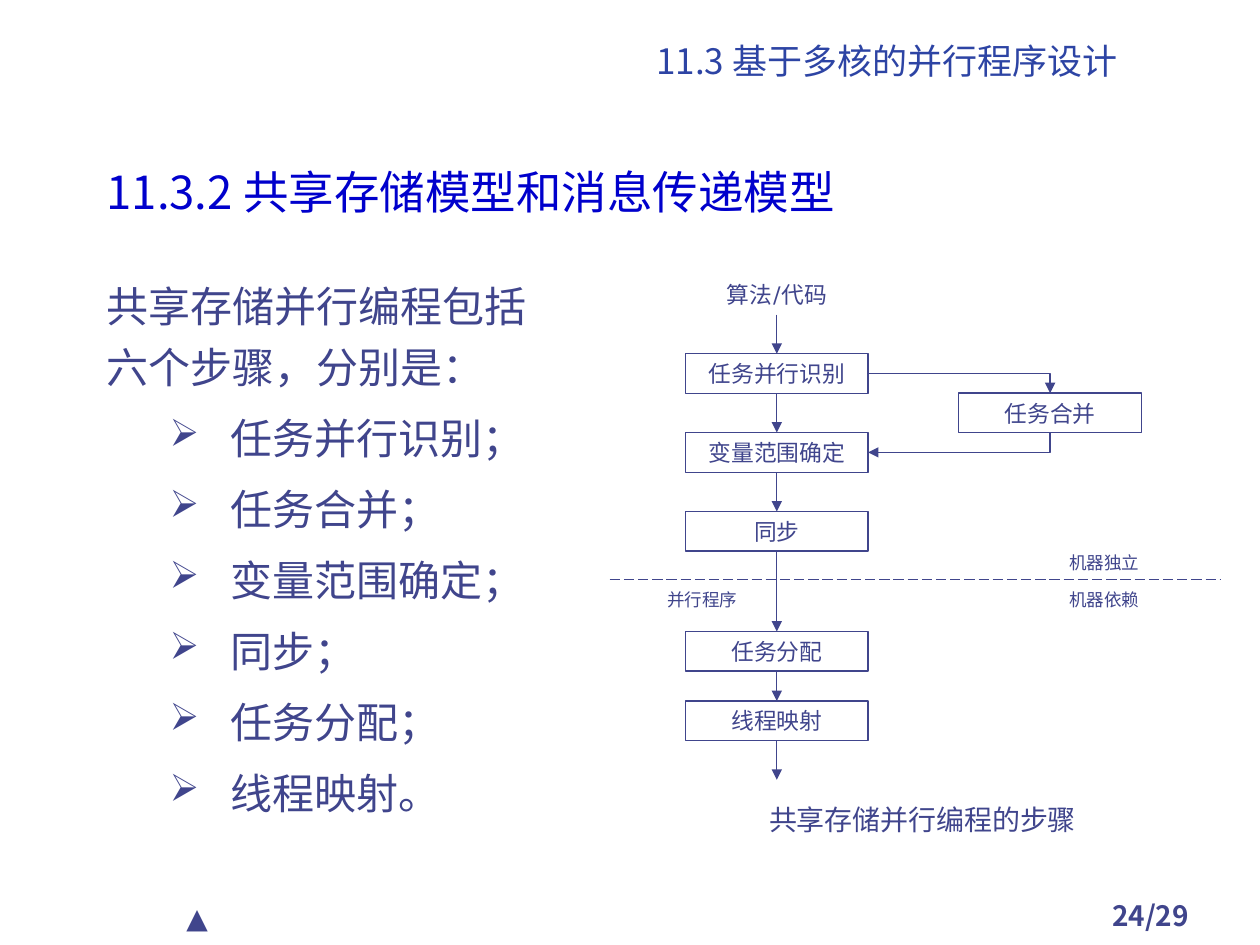
from dataclasses import dataclass

from lxml import etree
from pptx import Presentation
from pptx.dml.color import RGBColor
from pptx.enum.dml import MSO_LINE
from pptx.enum.shapes import MSO_CONNECTOR, MSO_SHAPE
from pptx.enum.text import MSO_ANCHOR, PP_ALIGN
from pptx.oxml.ns import qn
from pptx.util import Cm, Pt

LEFT, CENTER = PP_ALIGN.LEFT, PP_ALIGN.CENTER
TOP, MIDDLE, BOTTOM = MSO_ANCHOR.TOP, MSO_ANCHOR.MIDDLE, MSO_ANCHOR.BOTTOM
LINE, ELBOW = MSO_CONNECTOR.STRAIGHT, MSO_CONNECTOR.ELBOW
RECT, DASH = MSO_SHAPE.RECTANGLE, MSO_LINE.LONG_DASH
N, W, S, E = range(4)  # sides of a rectangle


@dataclass(frozen=True)
class Theme:
    ink: str = "40458C"
    title: str = "2D44A4"
    head: str = "0000CC"
    sans: str = "Noto Sans CJK SC"
    latin: str = "Karla"
    head_pt: int = 26
    body_pt: int = 24
    title_pt: int = 20
    note_pt: int = 16
    step_pt: int = 13
    tag_pt: int = 10
    rule_pt: float = 0.75


class Deck:
    def __init__(self, theme):
        self.theme = theme
        self.prs = Presentation()
        self.prs.slide_width, self.prs.slide_height = Cm(25.4), Cm(19.05)
        self.slide = self.prs.slides.add_slide(self.prs.slide_layouts[6])

    def style(self, par, size, font=None, color=None, align=LEFT, bold=False):
        par.alignment = align
        face = par.font
        face.size, face.bold = Pt(size), bold
        face.color.rgb = RGBColor.from_string(color or self.theme.ink)
        face.name = font or self.theme.sans
        latin = face._element.find(qn("a:latin"))
        asian = etree.Element(qn("a:ea"), typeface=face.name)
        latin.addnext(asian)

    def text(self, words, x, y, w, h, size, anchor=TOP, wrap=True, **look):
        box = self.slide.shapes.add_textbox(Cm(x), Cm(y), Cm(w), Cm(h))
        frame = box.text_frame
        frame.word_wrap, frame.vertical_anchor = wrap, anchor
        frame.text = words
        self.style(frame.paragraphs[0], size, **look)
        return box

    def label(self, words, x, y, size):
        return self.text(words, x, y, STEP_W, STEP_H, size, MIDDLE, False,
                         font=self.theme.latin, align=CENTER)

    def step(self, words, x, y):
        box = self.slide.shapes.add_shape(RECT, Cm(x), Cm(y), Cm(STEP_W), Cm(STEP_H))
        box.shadow.inherit = False
        box.fill.background()
        self.stroke(box.line)
        frame = box.text_frame
        frame.word_wrap, frame.vertical_anchor = False, MIDDLE
        frame.text = words
        self.style(frame.paragraphs[0], self.theme.step_pt, self.theme.latin, align=CENTER)
        return box

    def stroke(self, line):
        line.color.rgb = RGBColor.from_string(self.theme.ink)
        line.width = Pt(self.theme.rule_pt)

    def rule(self, x1, y1, x2, y2, kind=LINE):
        rule = self.slide.shapes.add_connector(kind, Cm(x1), Cm(y1), Cm(x2), Cm(y2))
        self.stroke(rule.line)
        etree.SubElement(rule._element.spPr, qn("a:effectLst"))
        return rule

    def tip(self, rule, end="tailEnd"):
        etree.SubElement(rule.line._get_or_add_ln(), qn("a:" + end), type="triangle")

    def join(self, one, two, sides=(S, N), kind=LINE, end="tailEnd"):
        rule = self.rule(0, 0, 0, 0, kind)
        rule.begin_connect(one, sides[0])
        rule.end_connect(two, sides[1])
        if kind == ELBOW:
            rule._element.spPr.find(qn("a:prstGeom")).set("prst", "bentConnector2")
        self.tip(rule, end)

    def bullets(self, box, items):
        for words in items:
            par = box.text_frame.add_paragraph()
            par.text = words
            par.level = 1
            props = par._p.get_or_add_pPr()
            props.set("marL", str(Cm(2.49)))
            props.set("indent", str(Cm(-1.22)))
            tint = etree.SubElement(props, qn("a:buClr"))
            etree.SubElement(tint, qn("a:srgbClr"), val=self.theme.ink)
            etree.SubElement(props, qn("a:buSzPct"), val="90000")
            etree.SubElement(props, qn("a:buChar"), char="➢")
            par.space_before = Pt(6)
            par.line_spacing = 1.2
            self.style(par, self.theme.body_pt)


STEP_W, STEP_H = 3.68, 0.8
FLOW_X, FLOW_Y, PITCH = 13.82, 5.54, 1.59
SPLIT_Y = 11.68


def main():
    theme = Theme()
    deck = Deck(theme)

    # Title, heading and footer
    deck.text("11.3 基于多核的并行程序设计", 10.8, 0.69, 14.17, 1.07, theme.title_pt,
              BOTTOM, color=theme.title, align=CENTER)
    deck.text("11.3.2 共享存储模型和消息传递模型", 1.9, 3.18, 19, 1.37, theme.head_pt,
              color=theme.head)
    deck.text("24/29", 21.39, 17.98, 3.61, 0.84, theme.note_pt, align=CENTER, bold=True)
    deck.text("▲", 3.51, 18.03, 3.61, 0.94, theme.note_pt, font=theme.latin)

    # List of the six steps
    names = ["任务并行识别", "任务合并", "变量范围确定", "同步", "任务分配", "线程映射"]
    body = deck.text("共享存储并行编程包括六个步骤，分别是：", 1.9, 5.33, 9.3, 11.81,
                     theme.body_pt)
    body.text_frame.paragraphs[0].line_spacing = 1.2
    marks = ["；"] * (len(names) - 1) + ["。"]
    deck.bullets(body, [name + mark for name, mark in zip(names, marks)])

    # Main flow
    find, merge, *rest = names
    tops = [FLOW_Y + PITCH * i for i in (1, 2, 3)] + [12.73, 14.13]
    flow = [deck.label("算法/代码", FLOW_X, FLOW_Y, theme.step_pt)]
    flow += [deck.step(name, FLOW_X, y) for name, y in zip([find, *rest], tops)]
    for one, two in zip(flow, flow[1:]):
        deck.join(one, two)
    mid = FLOW_X + STEP_W / 2
    deck.tip(deck.rule(mid, tops[-1] + STEP_H, mid, 15.72))

    # Side branch
    side = deck.step(merge, 19.33, FLOW_Y + PITCH * 1.5)
    deck.join(flow[1], side, (E, N), ELBOW)
    deck.join(flow[2], side, (E, S), ELBOW, "headEnd")

    # Machine boundary
    deck.rule(12.29, SPLIT_Y, 24.61, SPLIT_Y).line.dash_style = DASH
    deck.label("并行程序", 12.32, SPLIT_Y, theme.tag_pt)
    deck.label("机器独立", 20.42, SPLIT_Y - 0.74, theme.tag_pt)
    deck.label("机器依赖", 20.42, SPLIT_Y, theme.tag_pt)

    # Caption
    note = deck.text("共享存储并行编程的步骤", 14.5, 15.72, 8.2, 1.6, theme.note_pt,
                     align=CENTER)
    note.text_frame.paragraphs[0].line_spacing = 1.5

    deck.prs.save("out.pptx")


if __name__ == "__main__":
    main()
